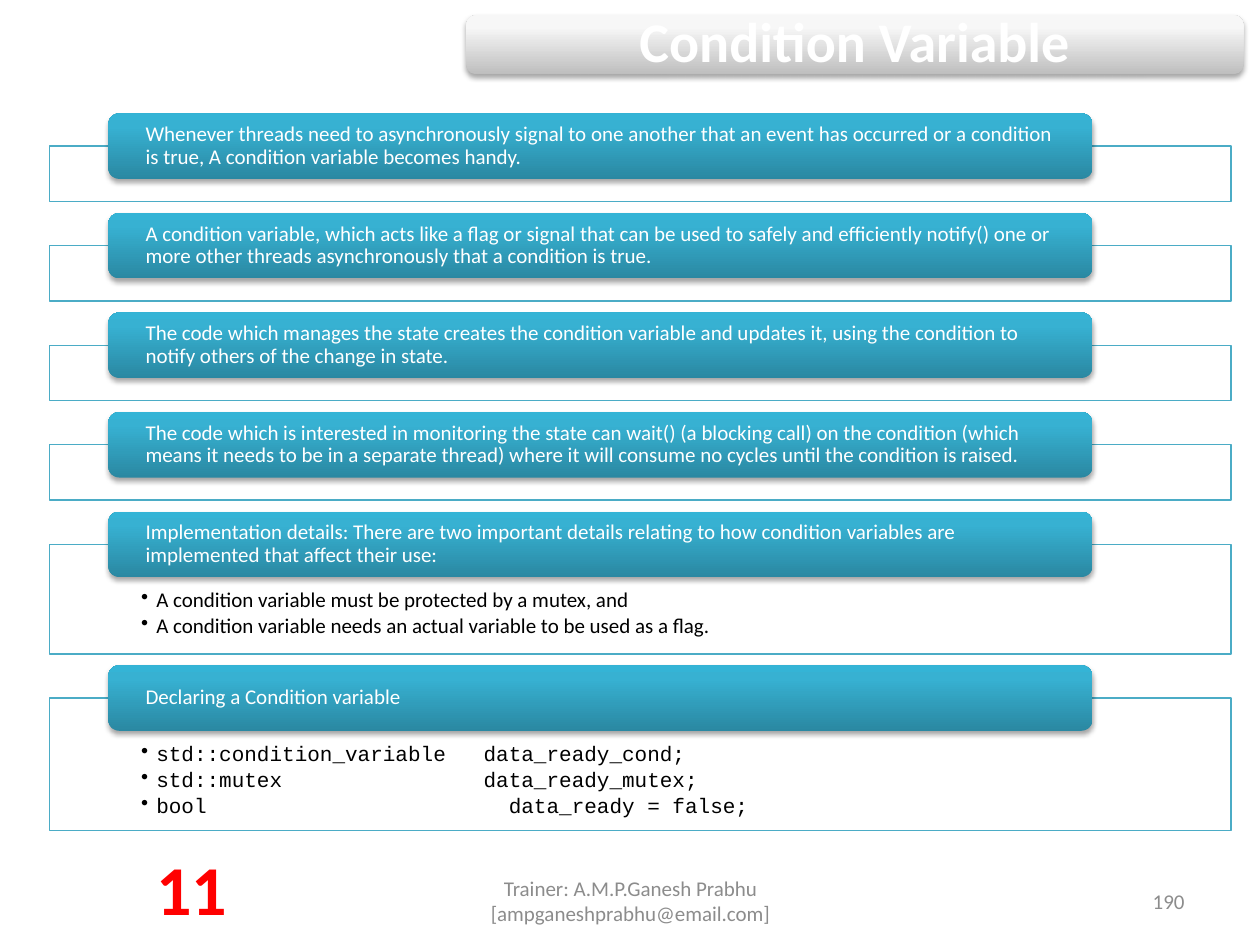
from dataclasses import dataclass

from lxml import etree
from pptx import Presentation
from pptx import util as u
from pptx.dml.color import RGBColor
from pptx.enum import shapes, text
from pptx.oxml import ns, parse_xml

COLORS = {"white": "FFFFFF", "black": "000000", "teal": "4BACC6",
          "grey": "8C8C8C", "red": "FF0000"}
TEAL_BAR = ((0, "2A88A2"), (80, "37B1D2"), (100, "34B4D6"))
SILVER_BAR = ((0, "BEBEBE"), (80, "F7F7F7"), (100, "F8F8F8"))
A = f'xmlns:a="{ns.nsuri("a")}"'

PANEL_LEFT, PANEL_W = 0.39, 9.38
HEADER_LEFT, HEADER_W, HEADER_H = 0.86, 7.81, 0.52
FIRST_TOP, PANEL_DROP, GAP = 0.9, 0.26, 0.09


@dataclass
class Section:
    header: str
    panel_height: float = 0.44
    bullets: tuple[str, ...] = ()
    font: str = "Calibri"


@dataclass
class Label:
    content: str
    box: tuple[float, float, float, float]
    align: text.PP_ALIGN
    size: int = 12
    color: str = "grey"
    bold: bool = False


SECTIONS = [
    Section("Whenever threads need to asynchronously signal to one another that an "
            "event has occurred or a condition is true, A condition variable becomes handy."),
    Section("A condition variable, which acts like a flag or signal that can be used to "
            "safely and efficiently notify() one or more other threads asynchronously "
            "that a condition is true."),
    Section("The code which manages the state creates the condition variable and updates "
            "it, using the condition to notify others of the change in state."),
    Section("The code which is interested in monitoring the state can wait() (a blocking "
            "call) on the condition (which means it needs to be in a separate thread) "
            "where it will consume no cycles until the condition is raised."),
    Section("Implementation details: There are two important details relating to how "
            "condition variables are implemented that affect their use:", 0.87,
            ("A condition variable must be protected by a mutex, and",
             "A condition variable needs an actual variable to be used as a flag.")),
    Section("Declaring a Condition variable", 1.05,
            ("std::condition_variable   data_ready_cond;",
             "std::mutex                data_ready_mutex;",
             "bool                        data_ready = false;"), "Courier New"),
]
LABELS = [
    Label("Trainer: A.M.P.Ganesh Prabhu [ampganeshprabhu@email.com]",
          (3.42, 6.95, 3.17, 0.4), text.PP_ALIGN.CENTER),
    Label("190", (7.17, 6.95, 2.33, 0.4), text.PP_ALIGN.RIGHT),
    Label("11", (1.13, 6.66, 0.78, 0.77), text.PP_ALIGN.CENTER, 40, "red", True),
]


def rgb(name: str) -> RGBColor:
    return RGBColor.from_string(COLORS[name])


def set_all(target, values: dict) -> None:
    for name, value in values.items():
        setattr(target, name, value)


def set_frame(tf, left: float, top: float, bottom: float, anchor) -> None:
    """Wrap the text and set its anchor and insets, equal at left and right."""
    set_all(tf, {"word_wrap": True, "vertical_anchor": anchor,
                 "margin_left": u.Inches(left), "margin_right": u.Inches(left),
                 "margin_top": u.Inches(top), "margin_bottom": u.Inches(bottom)})


def write(p, content: str, color: str, size: int = 12, font: str = "Calibri",
          bold: bool = False, **layout) -> None:
    set_all(p, layout)
    r = p.add_run()
    r.text = content
    set_all(r.font, {"size": u.Pt(size), "name": font, "bold": bold})
    r.font.color.rgb = rgb(color)


def add_box(s, kind, left: float, top: float, width: float, height: float):
    sp = s.shapes.add_shape(kind, *map(u.Inches, (left, top, width, height)))
    sp.shadow.inherit = False
    return sp


def add_bar(s, box: tuple, stops: tuple):
    """Rounded bar with a vertical gradient and a soft shadow below."""
    sp = add_box(s, shapes.MSO_SHAPE.ROUNDED_RECTANGLE, *box)
    sp.line.fill.background()
    pr = sp.element.spPr
    marks = "".join(f'<a:gs pos="{pos * 1000}"><a:srgbClr val="{c}"/></a:gs>'
                    for pos, c in stops)
    pr.find(ns.qn("a:prstGeom")).addnext(parse_xml(
        f'<a:gradFill {A} rotWithShape="1"><a:gsLst>{marks}</a:gsLst>'
        '<a:lin ang="16200000" scaled="0"/></a:gradFill>'))
    pr.find(ns.qn("a:effectLst")).append(parse_xml(
        f'<a:outerShdw {A} blurRad="{u.Pt(3.1)}" dist="{u.Pt(1.8)}" dir="5400000" '
        f'rotWithShape="0"><a:srgbClr val="{COLORS["black"]}">'
        '<a:alpha val="35000"/></a:srgbClr></a:outerShdw>'))
    return sp


def add_bullet(p) -> None:
    pr = p._p.get_or_add_pPr()
    pr.set("marL", str(u.Inches(0.12)))
    pr.set("indent", str(u.Inches(-0.12)))
    etree.SubElement(pr, ns.qn("a:buChar")).set("char", "•")


def add_section(s, section: Section, top: float) -> float:
    """Draw a panel with its header bar; return the top of the next section."""
    panel_top = top + PANEL_DROP
    panel = add_box(s, shapes.MSO_SHAPE.RECTANGLE, PANEL_LEFT, panel_top,
                    PANEL_W, section.panel_height)
    panel.fill.solid()
    panel.fill.fore_color.rgb = rgb("white")
    panel.line.color.rgb = rgb("teal")
    panel.line.width = u.Pt(0.75)
    tf = panel.text_frame
    set_frame(tf, 0.73, 0.36, 0.09, text.MSO_ANCHOR.TOP)
    for i, content in enumerate(section.bullets):
        p = tf.add_paragraph() if i else tf.paragraphs[0]
        add_bullet(p)
        write(p, content, "black", font=section.font, alignment=text.PP_ALIGN.LEFT,
              line_spacing=0.9, space_after=u.Pt(1.8))

    bar = add_bar(s, (HEADER_LEFT, top, HEADER_W, HEADER_H), TEAL_BAR)
    set_frame(bar.text_frame, 0.27, 0, 0, text.MSO_ANCHOR.MIDDLE)
    write(bar.text_frame.paragraphs[0], section.header, "white",
          alignment=text.PP_ALIGN.LEFT, line_spacing=0.9)
    return panel_top + section.panel_height + GAP


def add_label(s, label: Label) -> None:
    tf = s.shapes.add_textbox(*map(u.Inches, label.box)).text_frame
    set_frame(tf, 0.1, 0.05, 0.05, text.MSO_ANCHOR.MIDDLE)
    write(tf.paragraphs[0], label.content, label.color, label.size,
          bold=label.bold, alignment=label.align)


def main() -> None:
    prs = Presentation()
    prs.slide_width, prs.slide_height = u.Inches(10), u.Inches(7.5)
    s = prs.slides.add_slide(prs.slide_layouts[6])

    top = FIRST_TOP
    for section in SECTIONS:
        top = add_section(s, section, top)

    title = add_bar(s, (3.7, 0.12, 6.17, 0.47), SILVER_BAR)
    set_frame(title.text_frame, 0.13, 0.13, 0.13, text.MSO_ANCHOR.MIDDLE)
    write(title.text_frame.paragraphs[0], "Condition Variable", "white", 32, bold=True,
          alignment=text.PP_ALIGN.CENTER, line_spacing=0.9)

    for label in LABELS:
        add_label(s, label)
    prs.save("out.pptx")


if __name__ == "__main__":
    main()
